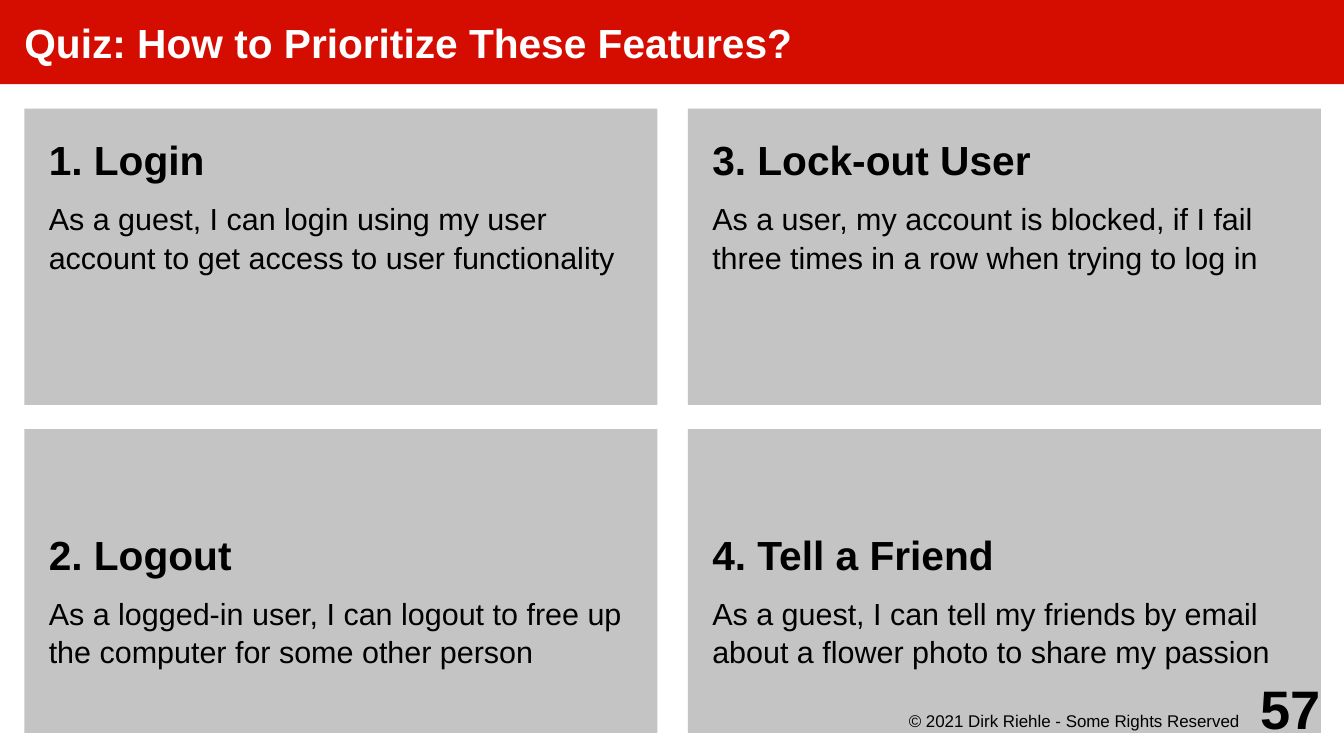
from lxml.etree import SubElement
from pptx import Presentation
from pptx.dml.color import RGBColor
from pptx.enum.shapes import MSO_CONNECTOR
from pptx.enum.text import MSO_ANCHOR, MSO_AUTO_SIZE, PP_ALIGN
from pptx.oxml.ns import qn
from pptx.util import Inches, Pt

TITLE = "Quiz: How to Prioritize These Features?"
COLUMNS = [
    [("1. Login", "As a guest, I can login using my user account to get access to user functionality"),
     ("2. Logout", "As a logged-in user, I can logout to free up the computer for some other person")],
    [("3. Lock-out User", "As a user, my account is blocked, if I fail three times in a row when trying to log in"),
     ("4. Tell a Friend", "As a guest, I can tell my friends by email about a flower photo to share my passion")],
]
COPYRIGHT = "© 2021 Dirk Riehle - Some Rights Reserved"
PAGE = "57"

COLORS = {"red": "D50D01", "gray": "C4C4C4", "white": "FFFFFF", "black": "000000"}
FONT = "Arial"
WIDTH, HEIGHT = 11.02, 6.2
MARGIN = 0.2
BAR_H = 0.69
CARD_TOP, CARD_W, CARD_H = 0.89, 5.19, 5.12
CARD_LEFTS = (MARGIN, 5.64)
DIVIDER_Y = 3.42
PARA_GAP, STORY_GAP = 4.2, 145


def color(name):
    return RGBColor.from_string(COLORS[name])


def place(s, left, top, width, height):
    s.left, s.top, s.width, s.height = map(Inches, (left, top, width, height))


def setup_frame(s, insets, anchor=MSO_ANCHOR.TOP):
    tf = s.text_frame
    tf.word_wrap = True
    tf.auto_size = MSO_AUTO_SIZE.NONE
    tf.vertical_anchor = anchor
    tf.margin_left, tf.margin_top, tf.margin_right, tf.margin_bottom = map(Inches, insets)
    return tf


def add_run(p, text, size, bold=False, ink="black"):
    r = p.add_run()
    r.text = text
    r.font.name, r.font.size, r.font.bold = FONT, Pt(size), bold
    r.font.color.rgb = color(ink)


def fill_box(s, name):
    s.fill.solid()
    s.fill.fore_color.rgb = color(name)


def add_card_column(s, left, stories):
    place(s, left, CARD_TOP, CARD_W, CARD_H)
    fill_box(s, "gray")
    tf = setup_frame(s, (MARGIN,) * 4)
    for i, story in enumerate(stories):
        for j, text in enumerate(story):
            heading = j == 0
            first = i == 0 and heading
            p = tf.paragraphs[0] if first else tf.add_paragraph()
            pPr = p._p.get_or_add_pPr()
            pPr.set("marL", "0")
            pPr.set("indent", "0")
            SubElement(pPr, qn("a:buNone"))
            p.alignment = PP_ALIGN.LEFT
            p.line_spacing = 1.05
            before = 0 if first else STORY_GAP if heading else PARA_GAP
            p.space_before, p.space_after = Pt(before), Pt(PARA_GAP)
            add_run(p, text, 24 if heading else 18, heading)


def add_footer(slide, box, insets, anchor, text, size, bold):
    s = slide.shapes.add_textbox(*map(Inches, box))
    p = setup_frame(s, insets, anchor).paragraphs[0]
    p.alignment = PP_ALIGN.RIGHT
    add_run(p, text, size, bold)


def main():
    prs = Presentation()
    prs.slide_width, prs.slide_height = Inches(WIDTH), Inches(HEIGHT)
    slide = prs.slides.add_slide(prs.slide_layouts[3])

    title = slide.shapes.title
    place(title, 0, 0, WIDTH, BAR_H)
    fill_box(title, "red")
    p = setup_frame(title, (MARGIN, 0, 0, 0), MSO_ANCHOR.MIDDLE).paragraphs[0]
    p.alignment = PP_ALIGN.LEFT
    add_run(p, TITLE, 24, True, "white")

    for idx, (left, stories) in enumerate(zip(CARD_LEFTS, COLUMNS), 1):
        add_card_column(slide.placeholders[idx], left, stories)

    divider = slide.shapes.add_connector(
        MSO_CONNECTOR.STRAIGHT, 0, Inches(DIVIDER_Y), Inches(WIDTH), Inches(DIVIDER_Y))
    divider.line.color.rgb = color("white")
    divider.line.width = Pt(14.17)
    SubElement(divider._element.spPr, qn("a:effectLst"))

    add_footer(slide, (7.09, 5.81, 3.15, 0.3), (0, 0.02, 0.08, 0),
               MSO_ANCHOR.TOP, COPYRIGHT, 10, False)
    add_footer(slide, (10.04, 5.51, 0.79, 0.59), (0, 0, 0, 0),
               MSO_ANCHOR.MIDDLE, PAGE, 32, True)

    prs.save("out.pptx")


if __name__ == "__main__":
    main()
